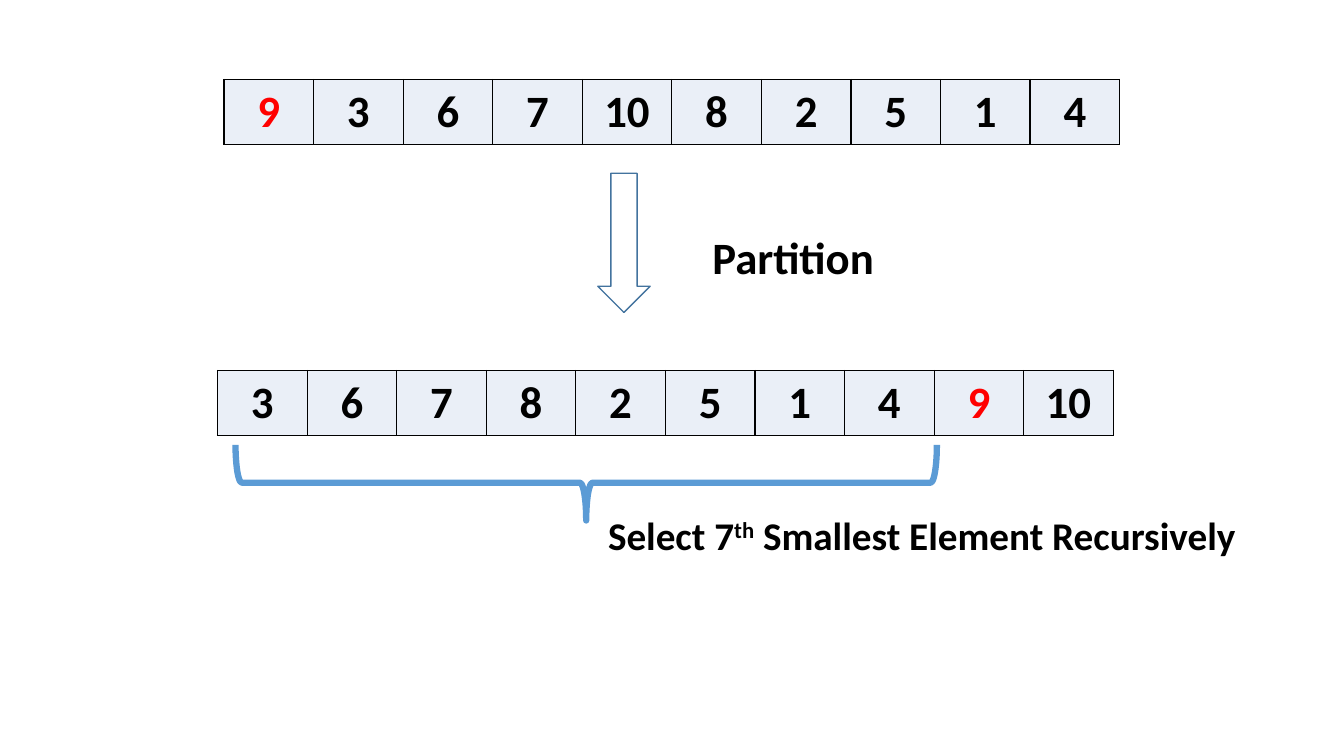
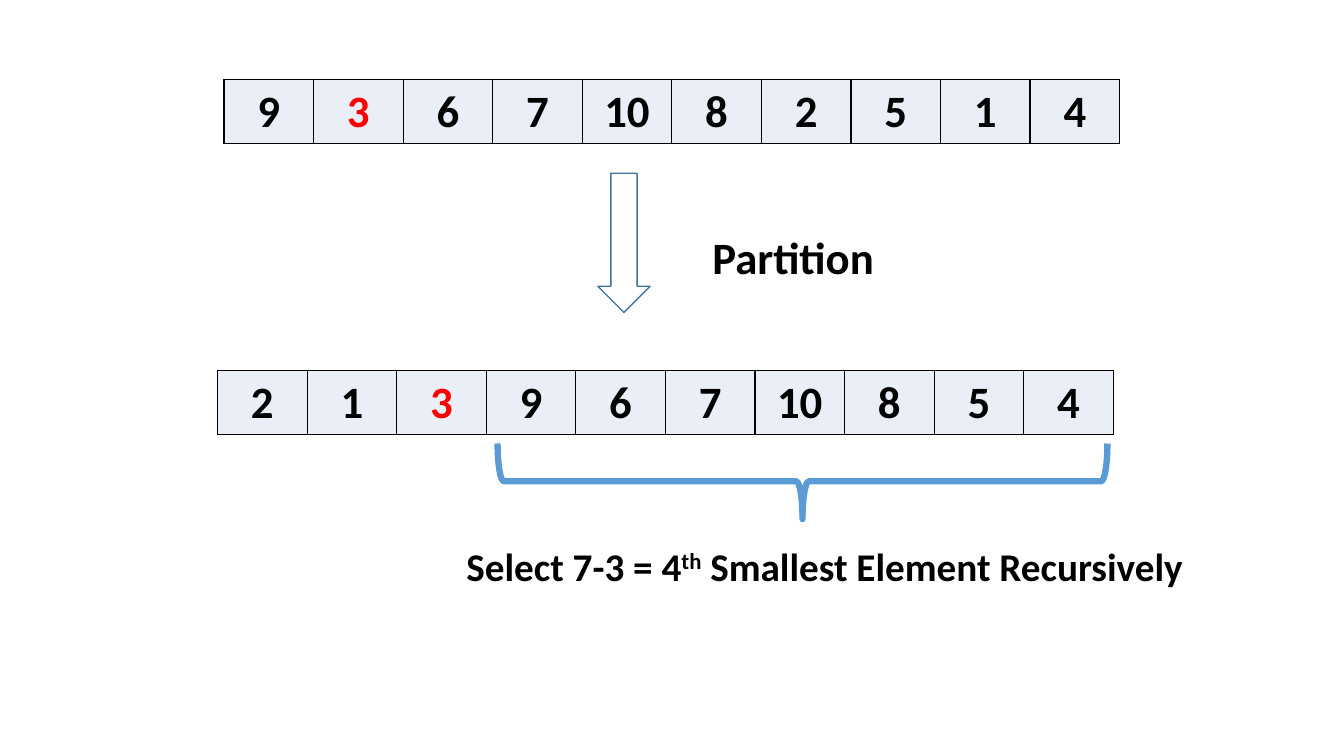
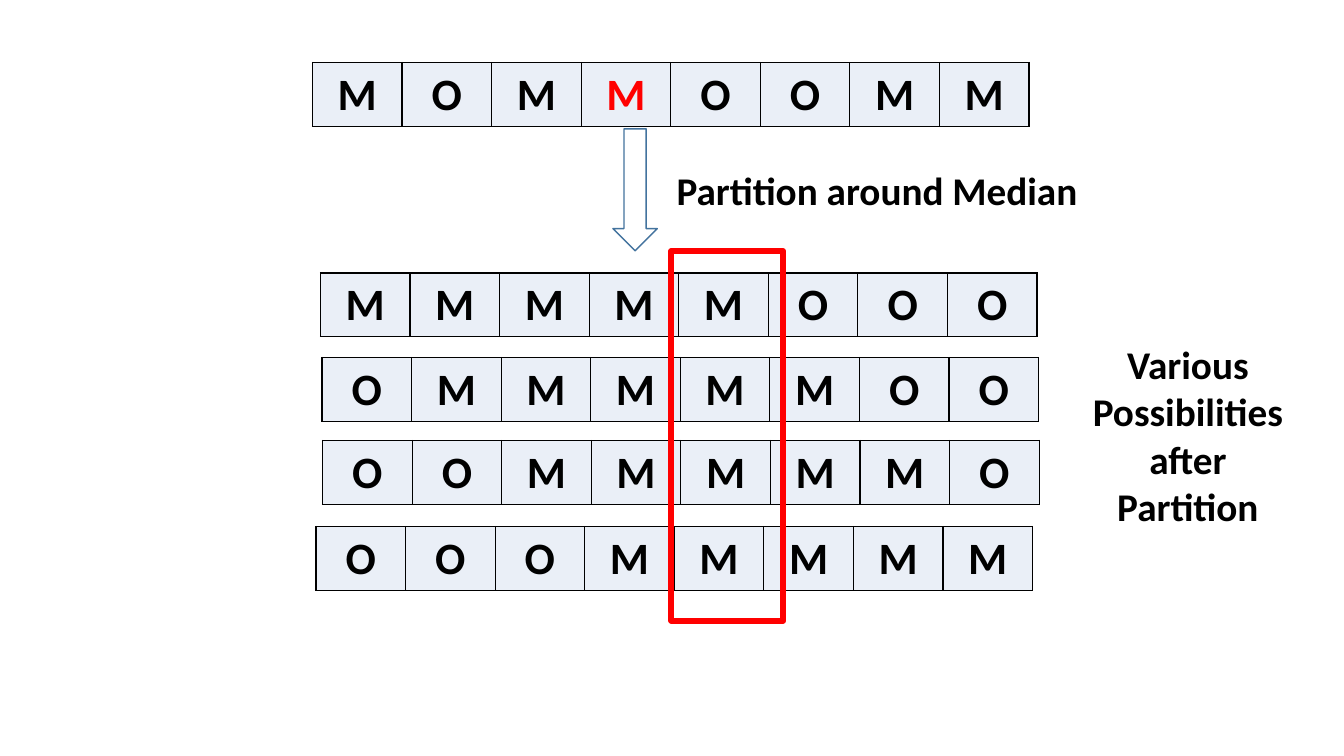
from lxml import etree
from pptx import Presentation
from pptx.dml.color import RGBColor as RGB
from pptx.enum.shapes import MSO_SHAPE as SHAPE
from pptx.enum.text import PP_ALIGN as ALIGN
from pptx.oxml import parse_xml
from pptx.oxml.ns import nsdecls, qn
from pptx.util import Pt

COLORS = {"text": "000000", "pivot": "FF0000", "cell": "EAEFF7", "grid": "000000",
          "arrow": "43739E", "brace": "5B9BD5", "frame": "FF0000"}
FONT = "Calibri"
COL_W, ROW_H = 64, 45.5

prs = Presentation()
prs.slide_width, prs.slide_height = Pt(960), Pt(540)


def style_run(r, size, color):
    r.font.name, r.font.size, r.font.bold = FONT, Pt(size), True
    r.font.color.rgb = RGB.from_string(COLORS[color])


def add_border(tc_pr, side):
    ln = etree.SubElement(tc_pr, qn(f"a:{side}"), w=str(Pt(1)))
    ln.append(parse_xml(f'<a:solidFill {nsdecls("a")}><a:srgbClr val="{COLORS["grid"]}"/></a:solidFill>'))


partition_arrow = (SHAPE.DOWN_ARROW, "arrow", 1, 427, 123.8, 37.4, 99.4, 0)
partition_label = ("Partition", 32, 494.6, 160.6, 144, 46)

slides = [
    {"arrays": [("9 3 6 7 10 8 2 5 1 4", 0, 160, 56.8),
                ("3 6 7 8 2 5 1 4 9 10", 8, 155.4, 264.7)],
     "outlines": [partition_arrow,
                  (SHAPE.RIGHT_BRACE, "brace", 4.5, 391.7, 94.3, 54, 501, 90)],
     "labels": [partition_label,
                ("Select 7|th| Smallest Element Recursively", 28, 398.9, 361.4, 519, 41)]},
    {"arrays": [("9 3 6 7 10 8 2 5 1 4", 1, 160, 56.8),
                ("2 1 3 9 6 7 10 8 5 4", 2, 155.4, 264.7)],
     "outlines": [partition_arrow,
                  (SHAPE.RIGHT_BRACE, "brace", 4.5, 546.2, 126, 54, 435.6, 90)],
     "labels": [partition_label,
                ("Select 7-3 = 4|th| Smallest Element Recursively", 28, 308.2, 383.8, 561.6, 41)]},
    {"arrays": [("M O M M O O M M", 3, 223.2, 44.6),
                ("M M M M M O O O", None, 228.9, 195),
                ("O M M M M M O O", None, 230, 255.4),
                ("O O M M M M M O", None, 230.4, 314.6),
                ("O O O M M M M M", None, 225.7, 376)],
     "outlines": [(SHAPE.RECTANGLE, "frame", 4, 479.5, 179.3, 80, 264.2, 0),
                  (SHAPE.DOWN_ARROW, "arrow", 1, 437.8, 92, 31.7, 87.1, 0)],
     "labels": [("Partition around Median", 28, 453.6, 115.2, 345.6, 41),
                ("Various Possibilities after Partition", 28, 768.2, 239.8, 160.6, 143.3)]},
]

for content in slides:
    slide = prs.slides.add_slide(prs.slide_layouts[6])

    for values, pivot, x, y in content["arrays"]:
        values = values.split()
        table = slide.shapes.add_table(1, len(values), Pt(x), Pt(y),
                                       Pt(COL_W * len(values)), Pt(ROW_H)).table
        table.first_row = table.horz_banding = False
        for i, value in enumerate(values):
            table.columns[i].width = Pt(COL_W)
            cell = table.cell(0, i)
            for side in ("lnL", "lnR", "lnT", "lnB"):
                add_border(cell._tc.get_or_add_tcPr(), side)
            cell.fill.solid()
            cell.fill.fore_color.rgb = RGB.from_string(COLORS["cell"])
            p = cell.text_frame.paragraphs[0]
            p.text = value
            p.alignment = ALIGN.CENTER
            style_run(p.runs[0], 32, "pivot" if i == pivot else "text")

    for kind, color, weight, x, y, w, h, angle in content["outlines"]:
        sp = slide.shapes.add_shape(kind, Pt(x), Pt(y), Pt(w), Pt(h))
        sp.rotation = angle
        sp.shadow.inherit = False
        sp.fill.background()
        sp.line.color.rgb = RGB.from_string(COLORS[color])
        sp.line.width = Pt(weight)

    for text, size, x, y, w, h in content["labels"]:
        tf = slide.shapes.add_textbox(Pt(x), Pt(y), Pt(w), Pt(h)).text_frame
        tf.word_wrap = True
        p = tf.paragraphs[0]
        p.alignment = ALIGN.CENTER
        for part in text.split("|"):
            r = p.add_run()
            r.text = part
            style_run(r, size, "text")
            if part == "th":
                r.font._element.set("baseline", "30000")

prs.save("out.pptx")
